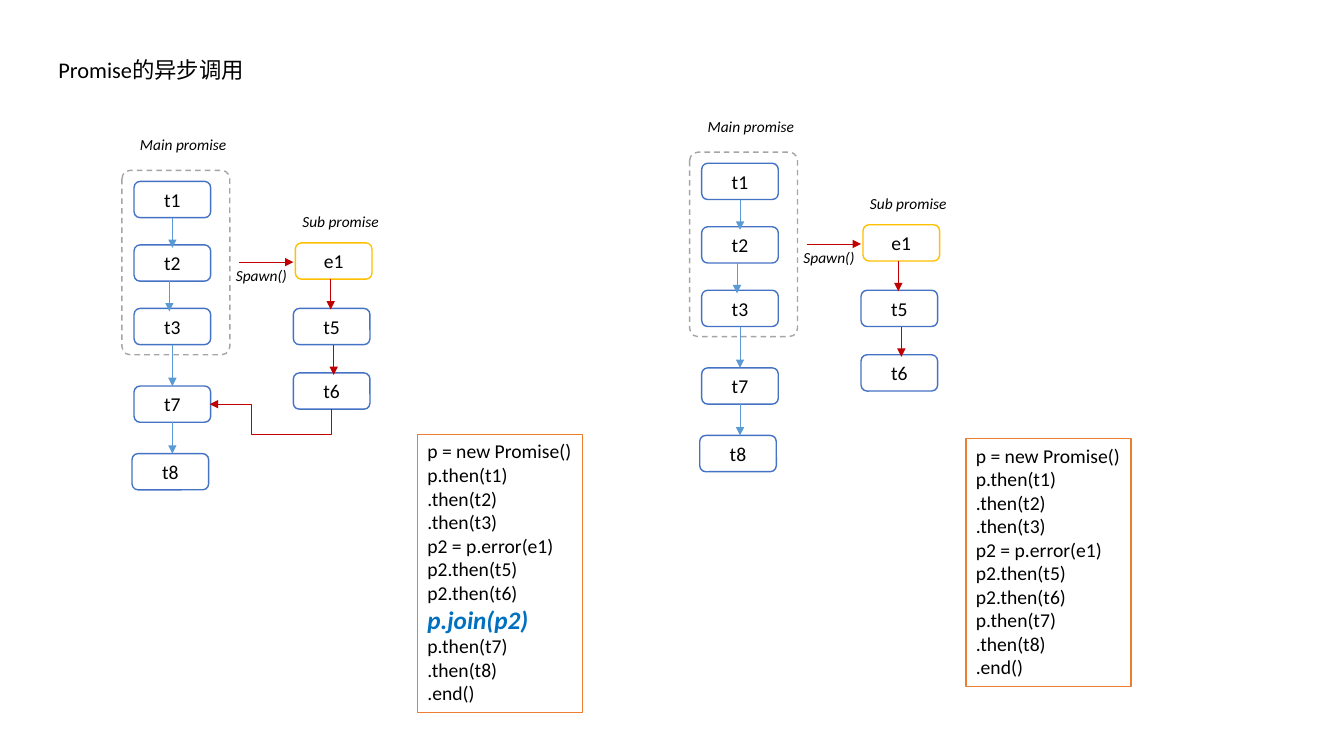
from lxml.etree import SubElement
from pptx import Presentation
from pptx.dml.color import RGBColor
from pptx.enum.dml import MSO_LINE
from pptx.enum.shapes import MSO_CONNECTOR, MSO_SHAPE
from pptx.enum.text import MSO_ANCHOR, MSO_AUTO_SIZE, PP_ALIGN
from pptx.oxml.ns import qn
from pptx.util import Inches, Pt

BLACK = RGBColor(0x00, 0x00, 0x00)
WHITE = RGBColor(0xFF, 0xFF, 0xFF)
GRAY = RGBColor(0xA5, 0xA5, 0xA5)
BLUE = RGBColor(0x44, 0x72, 0xC4)
LIGHT_BLUE = RGBColor(0x5B, 0x9B, 0xD5)
GOLD = RGBColor(0xFF, 0xC0, 0x00)
RED = RGBColor(0xC0, 0x00, 0x00)
ORANGE = RGBColor(0xED, 0x7D, 0x31)
JOIN_BLUE = RGBColor(0x00, 0x70, 0xC0)

TOP, BOTTOM, RIGHT = 0, 2, 3
NODE_WIDTH, NODE_HEIGHT = 0.76, 0.36
JOIN_LINE = "p.join(p2)"

NODES = {
    "t1": (1.33, 1.8), "t2": (1.33, 2.43), "t3": (1.33, 3.06),
    "e1": (2.93, 2.41), "t7": (1.33, 3.83), "t5": (2.91, 3.06),
    "t6": (2.91, 3.7), "t8": (1.31, 4.5),
}
ARROWS = [
    ((1.71, 3.42), (1.71, 3.83), LIGHT_BLUE, "t3", "t7"),
    ((2.37, 2.6), (2.91, 2.6), RED, None, None),
    ((3.28, 2.77), (3.28, 3.07), RED, None, None),
    ((3.31, 3.42), (3.31, 3.72), RED, None, None),
    ((1.71, 2.16), (1.71, 2.46), LIGHT_BLUE, "t1", None),
    ((1.68, 2.79), (1.68, 3.09), LIGHT_BLUE, None, None),
    ((1.71, 4.19), (1.71, 4.5), LIGHT_BLUE, "t7", None),
]
LABELS = [
    ("Main promise", 1.29, 1.29, 1.06),
    ("Sub promise", 2.9, 2.06, 0.97),
    ("Spawn()", 2.24, 2.59, 0.71),
]
CODE_START = ["p = new Promise()", "p.then(t1)", ".then(t2)", ".then(t3)",
              "p2 = p.error(e1)", "p2.then(t5)", "p2.then(t6)"]
CODE_END = ["p.then(t7)", ".then(t8)", ".end()"]


class PromiseSlide:
    """Draws promise flow diagrams on one slide in a shared style."""

    def __init__(self, presentation, font_name="Calibri"):
        self.slide = presentation.slides.add_slide(presentation.slide_layouts[5])
        self.shapes = self.slide.shapes
        self.font_name = font_name
        self.origin = (0, 0)

    def start_group(self, left, top):
        self.shapes = self.slide.shapes.add_group_shape().shapes
        self.origin = (left, top)

    def end_group(self):
        self.shapes = self.slide.shapes
        self.origin = (0, 0)

    def place(self, left, top):
        return Inches(self.origin[0] + left), Inches(self.origin[1] + top)

    def add_text(self, paragraph, text, size, color=BLACK, bold=False, italic=False):
        run = paragraph.add_run()
        run.text = text
        font = run.font
        font.name, font.size = self.font_name, Pt(size)
        font.bold, font.italic = bold, italic
        font.color.rgb = color

    def paint(self, shape, line_color):
        shape.fill.solid()
        shape.fill.fore_color.rgb = WHITE
        shape.line.color.rgb = line_color
        shape.line.width = Pt(1)

    def title(self, text, left, top, width, height):
        title = self.slide.shapes.title
        title.left, title.top = self.place(left, top)
        title.width, title.height = Inches(width), Inches(height)
        frame = title.text_frame
        frame.word_wrap = True
        frame.auto_size = MSO_AUTO_SIZE.NONE
        frame.vertical_anchor = MSO_ANCHOR.TOP
        frame.paragraphs[0].alignment = PP_ALIGN.LEFT
        self.add_text(frame.paragraphs[0], text, 16)

    def rounded(self, left, top, width, height, line_color):
        shape = self.shapes.add_shape(
            MSO_SHAPE.ROUNDED_RECTANGLE, *self.place(left, top),
            Inches(width), Inches(height))
        shape.shadow.inherit = False
        self.paint(shape, line_color)
        return shape

    def frame(self, left, top, width, height):
        shape = self.rounded(left, top, width, height, GRAY)
        shape.adjustments[0] = 0.077
        shape.line.dash_style = MSO_LINE.DASH

    def node(self, text, left, top):
        color = GOLD if text == "e1" else BLUE
        shape = self.rounded(left, top, NODE_WIDTH, NODE_HEIGHT, color)
        shape.text_frame.vertical_anchor = MSO_ANCHOR.MIDDLE
        paragraph = shape.text_frame.paragraphs[0]
        paragraph.alignment = PP_ALIGN.CENTER
        self.add_text(paragraph, text, 14)
        return shape

    def text_box(self, left, top, width, height):
        box = self.shapes.add_textbox(
            *self.place(left, top), Inches(width), Inches(height))
        box.text_frame.word_wrap = False
        box.text_frame.auto_size = MSO_AUTO_SIZE.SHAPE_TO_FIT_TEXT
        return box

    def label(self, text, left, top, width):
        box = self.text_box(left, top, width, 0.29)
        self.add_text(box.text_frame.paragraphs[0], text, 11, italic=True)

    def code(self, lines, left, top, width, height):
        box = self.text_box(left, top, width, height)
        self.paint(box, ORANGE)
        frame = box.text_frame
        for index, line in enumerate(lines):
            paragraph = frame.add_paragraph() if index else frame.paragraphs[0]
            if line == JOIN_LINE:
                self.add_text(paragraph, line, 18, JOIN_BLUE, bold=True, italic=True)
            else:
                self.add_text(paragraph, line, 14)

    def arrow(self, start, end, color, source=None, target=None,
              kind=MSO_CONNECTOR.STRAIGHT, target_side=TOP):
        connector = self.shapes.add_connector(
            kind, *self.place(*start), *self.place(*end))
        connector.line.color.rgb = color
        connector.line.width = Pt(0.5)
        SubElement(connector.get_or_add_ln(), qn("a:tailEnd"), type="triangle")
        SubElement(connector._element.spPr, qn("a:effectLst"))
        if source is not None:
            connector.begin_connect(source, BOTTOM)
        if target is not None:
            connector.end_connect(target, target_side)
        return connector

    def join_arrow(self, source, target):
        connector = self.arrow((3.29, 4.06), (2.09, 4.01), RED, source, target,
                               MSO_CONNECTOR.ELBOW, RIGHT)
        connector.left, connector.top = self.place(2.66, 3.43)
        connector.width, connector.height = Inches(0.05), Inches(1.21)
        properties = connector._element.spPr
        transform = properties.find(qn("a:xfrm"))
        for name, value in (("rot", "5400000"), ("flipH", "1"), ("flipV", "0")):
            transform.set(name, value)
        geometry = properties.find(qn("a:prstGeom"))
        geometry.set("prst", "bentConnector4")
        guides = geometry.find(qn("a:avLst"))
        for name, value in (("adj1", -502100), ("adj2", 65700)):
            SubElement(guides, qn("a:gd"), name=name, fmla=f"val {value}")

    def flow(self, left, top, joined):
        self.start_group(left, top)
        self.frame(1.21, 1.69, 1.07, 1.83)
        nodes = {name: self.node(name, *spot) for name, spot in NODES.items()}
        for start, end, color, source, target in ARROWS:
            self.arrow(start, end, color, nodes.get(source), nodes.get(target))
        if joined:
            self.join_arrow(nodes["t6"], nodes["t7"])
        for label in LABELS:
            self.label(*label)
        self.end_group()


def main():
    presentation = Presentation()
    presentation.slide_width = Inches(13.33)
    presentation.slide_height = Inches(7.5)
    slide = PromiseSlide(presentation)
    slide.title("Promise的异步调用", 0.48, 0.51, 2.06, 0.37)
    slide.flow(0, 0, joined=True)
    slide.code(CODE_START + [JOIN_LINE] + CODE_END, 4.14, 4.31, 1.64, 2.76)
    slide.flow(5.63, -0.18, joined=False)
    slide.code(CODE_START + CODE_END, 9.58, 4.35, 1.64, 2.46)
    presentation.save("out.pptx")


if __name__ == "__main__":
    main()
